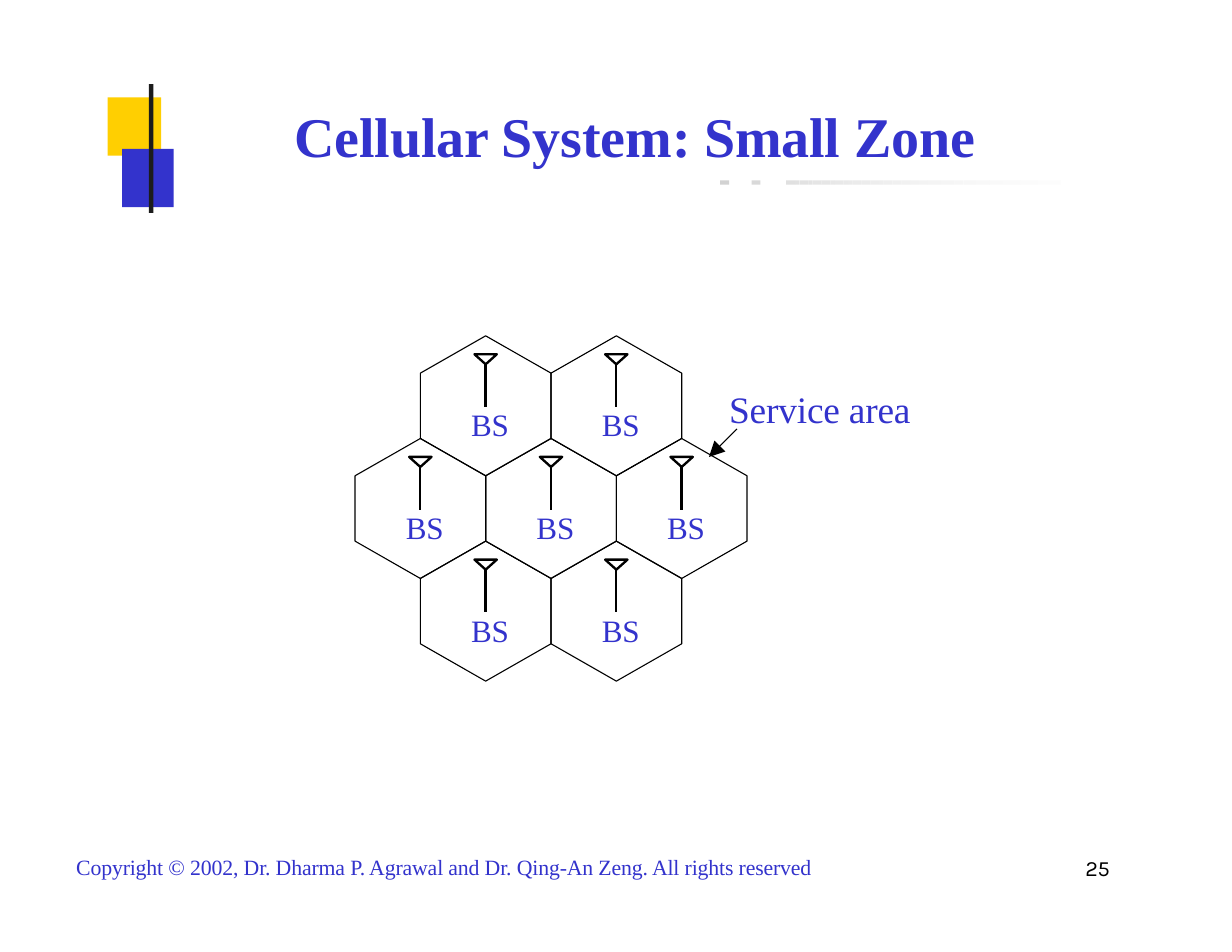
"""Build the slide on small zones in a cellular system."""
import lxml.etree
import pptx
import pptx.dml.color
import pptx.enum.shapes
import pptx.enum.text
import pptx.oxml.ns
import pptx.util
from dataclasses import dataclass

Inches = pptx.util.Inches
Pt = pptx.util.Pt
qn = pptx.oxml.ns.qn


@dataclass(frozen=True)
class Theme:
    blue: str = "3333CC"
    gold: str = "FFCF01"
    dark: str = "1C1C1C"
    black: str = "000000"
    serif: str = "Times New Roman"
    sans: str = "Karla"
    title: float = 36
    label: float = 24
    node: float = 20
    foot: float = 14
    thin: float = 0.72
    thick: float = 1.5


def tint(code):
    return pptx.dml.color.RGBColor.from_string(code)


def write(frame, text, size, font, color, bold=False, inset=0.01, indent=0.01, pitch=None):
    frame.word_wrap = True
    frame.auto_size = pptx.enum.text.MSO_AUTO_SIZE.NONE
    frame.margin_left = Inches(indent)
    frame.margin_right = frame.margin_bottom = 0
    frame.margin_top = Inches(inset)
    para = frame.paragraphs[0]
    if pitch:
        para.line_spacing = Pt(pitch)
    run = para.add_run()
    run.text = text
    run.font.size = Pt(size)
    run.font.name = font
    run.font.bold = bold
    run.font.color.rgb = tint(color)
    run._r.get_or_add_rPr().set("spc", "-10")


class Deck:
    def __init__(self, theme):
        self.theme = theme
        self.file = pptx.Presentation()
        self.file.slide_width = Inches(11)
        self.file.slide_height = Inches(8.5)
        self.slide = self.file.slides.add_slide(self.file.slide_layouts[6])
        self.shapes = self.slide.shapes

    def block(self, left, top, width, height, color):
        kind = pptx.enum.shapes.MSO_SHAPE.RECTANGLE
        shape = self.shapes.add_shape(
            kind, Inches(left), Inches(top), Inches(width), Inches(height))
        shape.shadow.inherit = False
        shape.fill.solid()
        shape.fill.fore_color.rgb = tint(color)
        shape.line.fill.background()

    def text(self, left, top, width, height, words, **style):
        box = self.shapes.add_textbox(
            Inches(left), Inches(top), Inches(width), Inches(height))
        write(box.text_frame, words, **style)

    def outline(self, loop, weight, stem=()):
        points = [(Inches(x), Inches(y)) for x, y in loop]
        pen = self.shapes.build_freeform(*points[0])
        pen.add_line_segments(points[1:], close=True)
        if stem:
            start, end = [(Inches(x), Inches(y)) for x, y in stem]
            pen.move_to(*start)
            pen.add_line_segments([end], close=False)
        shape = pen.convert_to_shape()
        shape.shadow.inherit = False
        shape.fill.background()
        shape.line.color.rgb = tint(self.theme.black)
        shape.line.width = Pt(weight)

    def arrow(self, left, top, right, low):
        kind = pptx.enum.shapes.MSO_CONNECTOR.STRAIGHT
        line = self.shapes.add_connector(
            kind, Inches(left), Inches(top), Inches(right), Inches(low))
        line.line.color.rgb = tint(self.theme.black)
        line.line.width = Pt(self.theme.thin)
        lxml.etree.SubElement(line.line._get_or_add_ln(), qn("a:tailEnd"),
                              type="triangle", w="lg", len="lg")
        lxml.etree.SubElement(line._element.spPr, qn("a:effectLst"))

    def cell(self, x, y, half, side, peak):
        self.outline([(x, y - peak), (x + half, y - side), (x + half, y + side),
                      (x, y + peak), (x - half, y + side), (x - half, y - side)],
                     self.theme.thin)
        neck = y - 0.37
        tip = y - 0.46
        self.outline([(x, neck), (x - 0.1, tip), (x + 0.1, tip)],
                     self.theme.thick, [(x, neck), (x, y + 0.01)])
        self.text(x - 0.14, y - 0.01, 0.37, 0.36, "BS", size=self.theme.node,
                  font=self.theme.serif, color=self.theme.blue)

    def rule(self):
        top, height = 1.61, 0.04
        for left, shade in ((6.43, "D2"), (6.71, "D9")):
            self.block(left, top, 0.08, height, shade * 3)
        spans = [2, 1, 2, 1, 2, 2, 1, 2, 1, 1, 2, 2, 2, 1,
                 2, 2, 2, 2, 2, 3, 3, 2, 3, 3, 3, 4, 4, 5]
        shades = [tone for tone in range(0xE0, 0xFD) if tone != 0xE4]
        left, unit = 7.02, 2.45 / sum(spans)
        for span, tone in zip(spans, shades):
            self.block(left, top, span * unit, height, f"{tone:02X}" * 3)
            left += span * unit


def main():
    theme = Theme()
    deck = Deck(theme)
    deck.block(0.96, 0.87, 0.48, 0.52, theme.gold)
    deck.block(1.09, 1.33, 0.46, 0.52, theme.blue)
    deck.block(1.33, 0.75, 0.04, 1.15, theme.dark)
    deck.rule()
    blue = dict(font=theme.serif, color=theme.blue)
    deck.text(2.62, 0.9, 6.25, 0.63, "Cellular System: Small Zone",
              size=theme.title, bold=True, **blue)

    half, side, peak = 7 / 12, 7 / 24, 5 / 8
    mid_x, mid_y = 4.92, 4.54
    for row, count in enumerate((2, 3, 2)):
        for col in range(count):
            x = mid_x + (2 * col - count + 1) * half
            y = mid_y + (row - 1) * (side + peak)
            deck.cell(x, y, half, side, peak)

    deck.arrow(6.58, 3.83, 6.33, 4.08)
    deck.text(6.5, 3.44, 1.75, 0.43, "Service area", size=theme.label, **blue)
    deck.text(9.65, 7.62, 0.3, 0.26, "25", size=theme.foot, font=theme.sans,
              color=theme.black, indent=0.04)
    deck.text(0.67, 7.63, 6.85, 0.24,
              "Copyright © 2002, Dr. Dharma P. Agrawal and Dr. Qing-An Zeng. All rights reserved",
              size=theme.foot, inset=0, pitch=16.2, **blue)
    deck.file.save("out.pptx")


if __name__ == "__main__":
    main()
